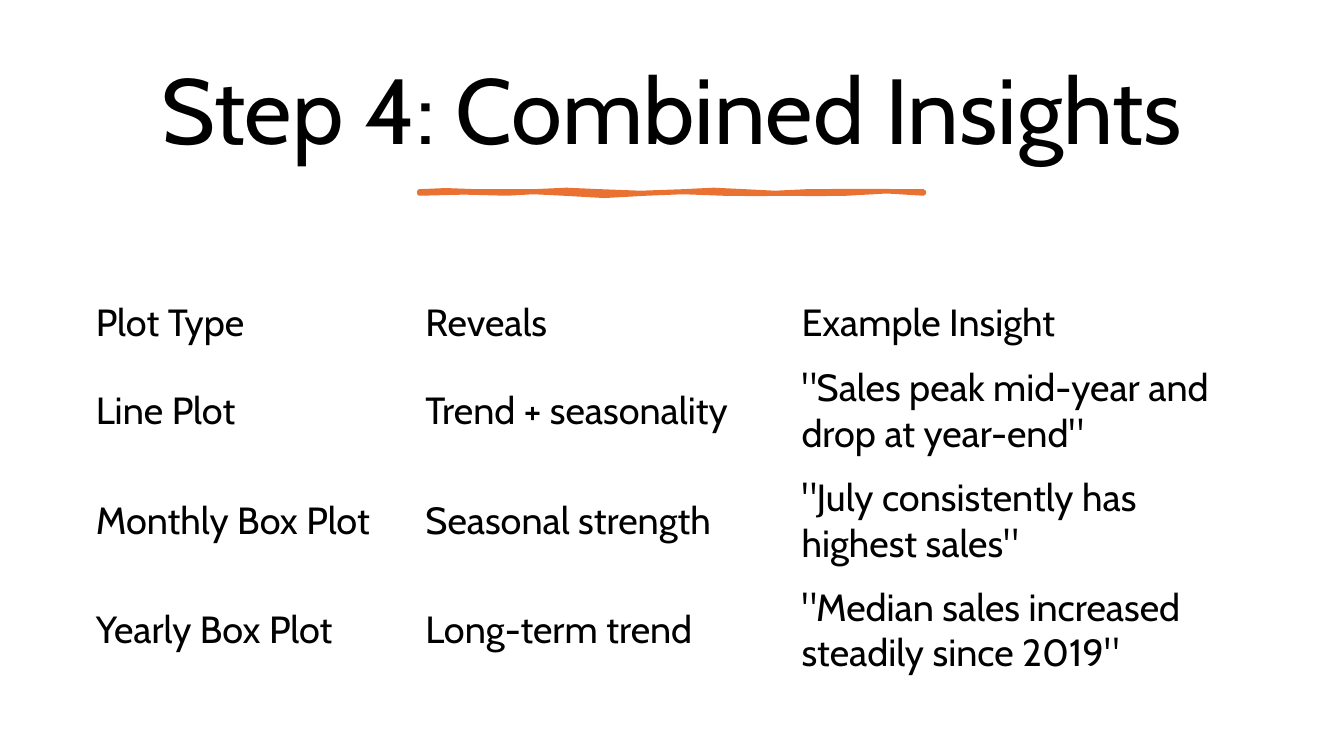
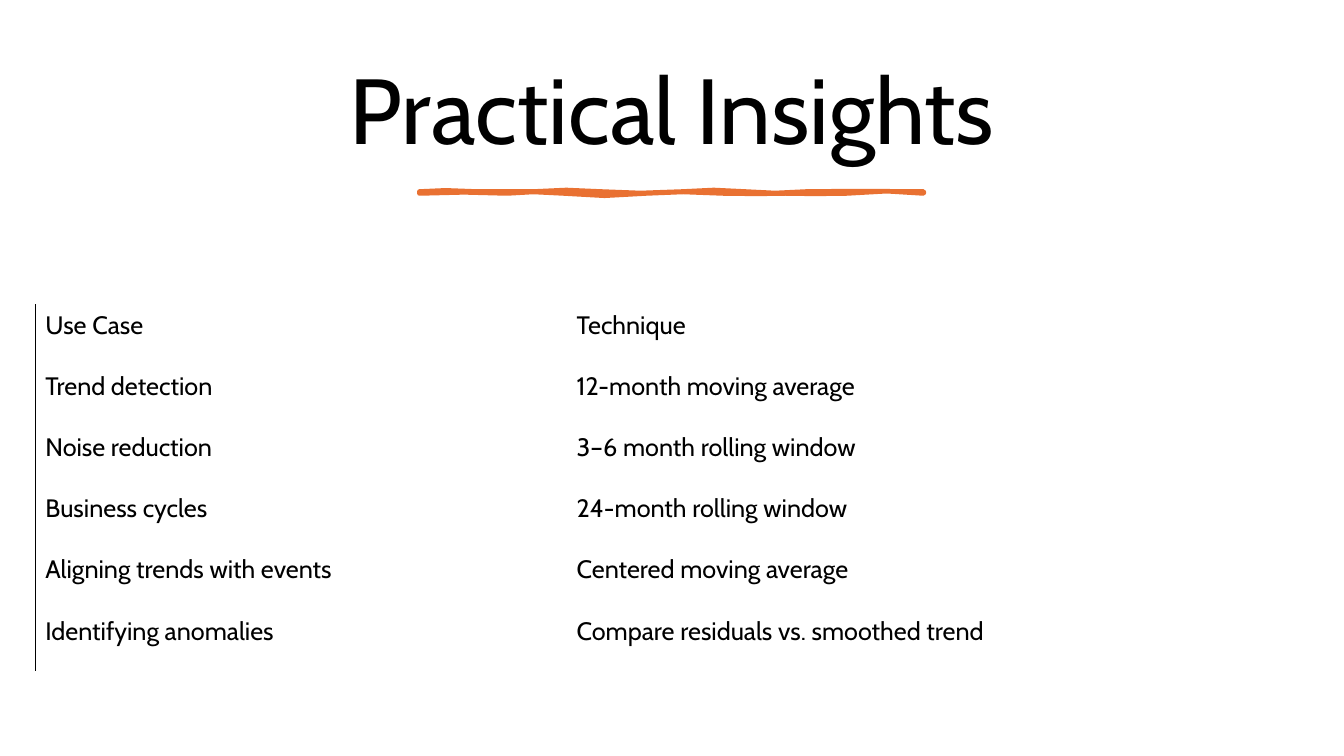
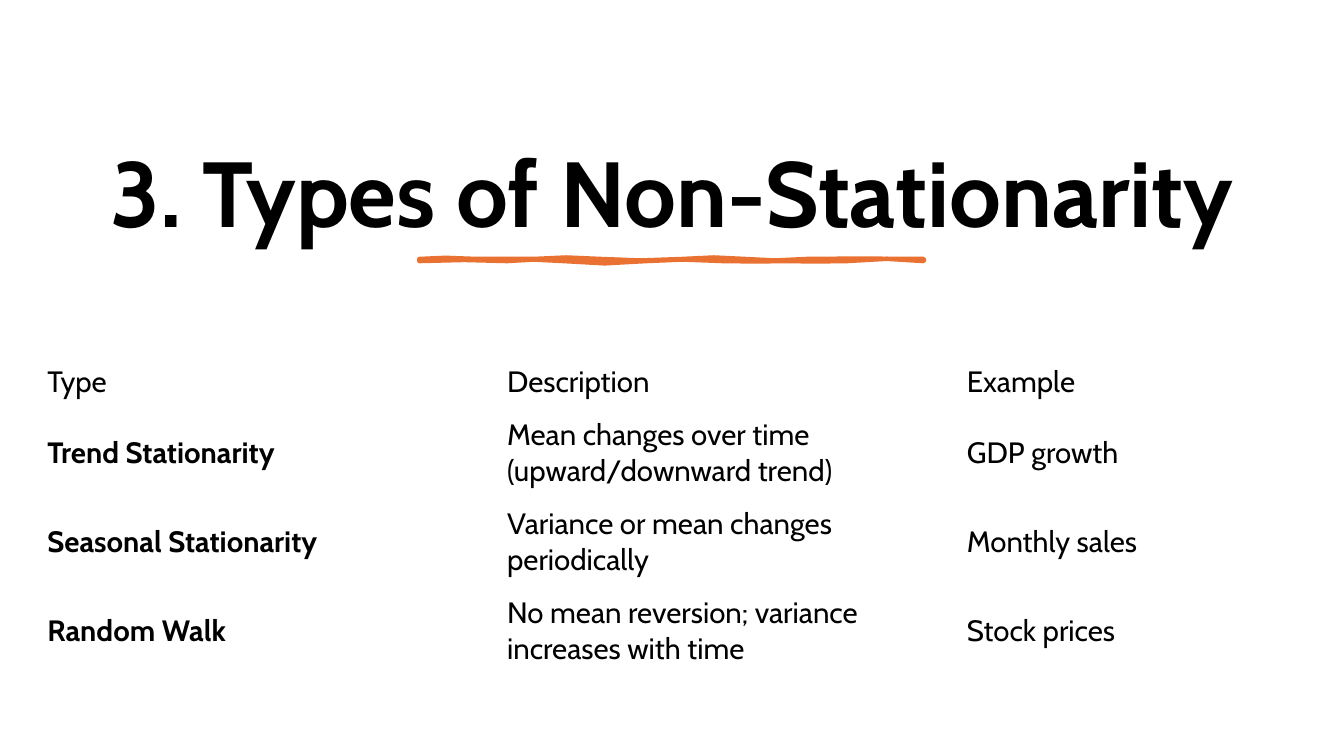
from dataclasses import dataclass

from lxml import etree
from pptx import Presentation
from pptx.dml.color import RGBColor
from pptx.enum import text as tx
from pptx.oxml import ns
from pptx.util import Inches, Pt

FONT = "Cabin"
HUES = {"ink": "000000", "rule": "E97132"}
PLAIN = "{2D5ABB26-0587-4C30-8999-92F81FD0307C}"  # table style without grid

# Brush stroke: its start, then cubic curves (two controls, end) in inches
START = (0, 0)
CURVES = [
    ((0.12, -0.03), (0.38, 0), (0.57, 0)),
    ((0.76, -0.01), (0.93, 0.01), (1.13, 0)),
    ((1.33, -0.02), (1.58, -0.02), (1.8, 0)),
    ((2.01, 0.02), (2.37, 0.02), (2.61, 0)),
    ((2.86, -0.02), (2.98, -0.02), (3.23, 0)),
    ((3.47, 0.01), (3.58, 0.03), (3.84, 0)),
    ((4.1, -0.03), (4.51, 0.02), (5, 0)),
    ((5.01, 0.01), (5, 0.01), (5, 0.02)),
    ((4.79, 0), (4.49, -0.02), (4.24, 0.02)),
    ((3.99, 0.05), (3.85, 0), (3.63, 0.02)),
    ((3.4, 0.03), (3.31, 0.02), (3.01, 0.02)),
    ((2.71, 0.02), (2.51, -0.02), (2.25, 0.02)),
    ((1.98, 0.05), (1.69, 0.05), (1.43, 0.02)),
    ((1.18, -0.02), (1.07, 0.02), (0.87, 0.02)),
    ((0.67, 0.01), (0.22, 0), (0, 0.02)),
]
STEPS = 2


@dataclass
class Grid:
    left: float
    top: float
    high: float   # height of all rows
    head: float   # height of the first row, 0 when all rows are equal
    cols: list[float]
    pad: tuple[float, float, float, float]
    size: int
    rows: list[tuple[str, ...]]
    keys: bool = False   # bold first column below the head
    edge: bool = False   # line down the left side


@dataclass
class Page:
    title: str
    grid: Grid
    top: float = 0.45
    high: float = 1.37
    rule: float = 1.9
    bold: bool = False
    low: bool = False    # title sits at the bottom of its box


PAGES = [
    Page("Step 4: Combined Insights", Grid(
        0.8, 2.88, 3.92, 0.65, [3.27, 3.73, 4.71],
        (0.15, 0.07, 0.15, 0.07), 27, [
            ("Plot Type", "Reveals", "Example Insight"),
            ("Line Plot", "Trend + seasonality",
             '"Sales peak mid-year and drop at year-end"'),
            ("Monthly Box Plot", "Seasonal strength",
             '"July consistently has highest sales"'),
            ("Yearly Box Plot", "Long-term trend",
             '"Median sales increased steadily since 2019"'),
        ])),
    Page("Practical Insights", Grid(
        0.35, 3.02, 3.64, 0, [5.27, 7.36],
        (0.1, 0.03, 0.15, 0.22), 18, [
            ("Use Case", "Technique"),
            ("Trend detection", "12-month moving average"),
            ("Noise reduction", "3–6 month rolling window"),
            ("Business cycles", "24-month rolling window"),
            ("Aligning trends with events", "Centered moving average"),
            ("Identifying anomalies", "Compare residuals vs. smoothed trend"),
        ], edge=True)),
    Page("3. Types of Non-Stationarity", Grid(
        0.35, 3.53, 3.17, 0.52, [4.56, 4.56, 3.5],
        (0.12, 0.06, 0.12, 0.06), 21, [
            ("Type", "Description", "Example"),
            ("Trend Stationarity",
             "Mean changes over time (upward/downward trend)", "GDP growth"),
            ("Seasonal Stationarity",
             "Variance or mean changes periodically", "Monthly sales"),
            ("Random Walk",
             "No mean reversion; variance increases with time", "Stock prices"),
        ], keys=True), top=0.5, high=2, rule=2.57, bold=True, low=True),
]


def tint(name: str) -> RGBColor:
    return RGBColor.from_string(HUES[name])


def write(frame, words: str, *, size: int, bold: bool = False,
          align=tx.PP_ALIGN.LEFT, space: float = 1) -> None:
    frame.word_wrap = True
    para = frame.paragraphs[0]
    para.alignment, para.line_spacing = align, space
    run = para.add_run()
    run.text = words
    font = run.font
    font.name, font.size, font.bold = FONT, Pt(size), bold
    font.color.rgb = tint("ink")


def draw_title(slide, page: Page) -> None:
    box = slide.shapes.add_textbox(
        Inches(0.7), Inches(page.top), Inches(11.93), Inches(page.high))
    frame = box.text_frame
    frame.vertical_anchor = (
        tx.MSO_ANCHOR.BOTTOM if page.low else tx.MSO_ANCHOR.MIDDLE)
    write(frame, page.title, size=66, bold=page.bold,
          align=tx.PP_ALIGN.CENTER, space=0.9)


def trace() -> list[tuple[float, float]]:
    """Points along the brush stroke."""
    spots, last = [], START
    for one, two, end in CURVES:
        for step in range(1, STEPS + 1):
            t = step / STEPS
            s = 1 - t
            spots.append(tuple(
                s**3 * a + 3 * s * s * t * b + 3 * s * t * t * c + t**3 * d
                for a, b, c, d in zip(last, one, two, end)))
        last = end
    return spots


def draw_rule(slide, top: float) -> None:
    left = 4.16
    pen = slide.shapes.build_freeform(Inches(left), Inches(top))
    pen.add_line_segments(
        [(Inches(left + x), Inches(top + y)) for x, y in trace()], close=True)
    stroke = pen.convert_to_shape()
    stroke.shadow.inherit = False
    stroke.fill.solid()
    stroke.fill.fore_color.rgb = tint("rule")
    stroke.line.color.rgb = tint("rule")
    stroke.line.width = Pt(3.25)


def add_edge(cell) -> None:
    line = etree.Element(ns.qn("a:lnL"), w=str(Pt(0.75)))
    fill = etree.SubElement(line, ns.qn("a:solidFill"))
    etree.SubElement(fill, ns.qn("a:srgbClr"), val=HUES["ink"])
    cell._tc.get_or_add_tcPr().insert(0, line)


def draw_grid(slide, grid: Grid) -> None:
    count = len(grid.rows)
    head = grid.head or grid.high / count
    highs = [head] + [(grid.high - head) / (count - 1)] * (count - 1)
    table = slide.shapes.add_table(
        count, len(grid.cols), Inches(grid.left), Inches(grid.top),
        Inches(sum(grid.cols)), Inches(grid.high)).table
    table.first_row = table.horz_banding = False
    table._tbl.tblPr.find(ns.qn("a:tableStyleId")).text = PLAIN
    for col, wide in zip(table.columns, grid.cols):
        col.width = Inches(wide)
    for i, (high, row) in enumerate(zip(highs, grid.rows)):
        table.rows[i].height = Inches(high)
        for j, words in enumerate(row):
            cell = table.cell(i, j)
            cell.fill.background()
            cell.vertical_anchor = tx.MSO_ANCHOR.MIDDLE
            (cell.margin_left, cell.margin_top, cell.margin_right,
             cell.margin_bottom) = map(Inches, grid.pad)
            write(cell.text_frame, words, size=grid.size,
                  bold=grid.keys and i > 0 and j == 0)
            if grid.edge and j == 0:
                add_edge(cell)


def main() -> None:
    deck = Presentation()
    deck.slide_width, deck.slide_height = Inches(13.33), Inches(7.5)
    for page in PAGES:
        slide = deck.slides.add_slide(deck.slide_layouts[6])
        draw_title(slide, page)
        draw_rule(slide, page.rule)
        draw_grid(slide, page.grid)
    deck.save("out.pptx")


if __name__ == "__main__":
    main()
